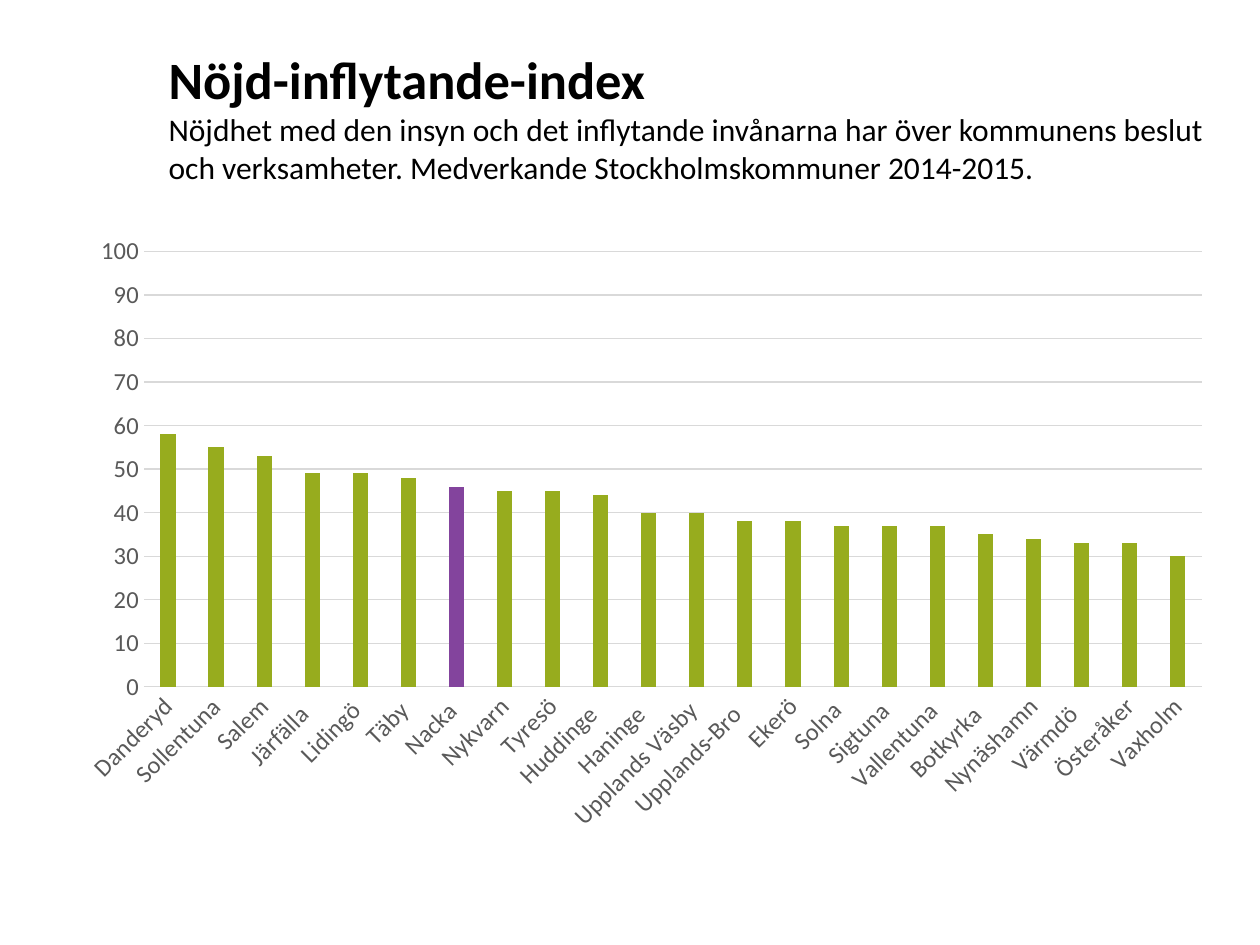
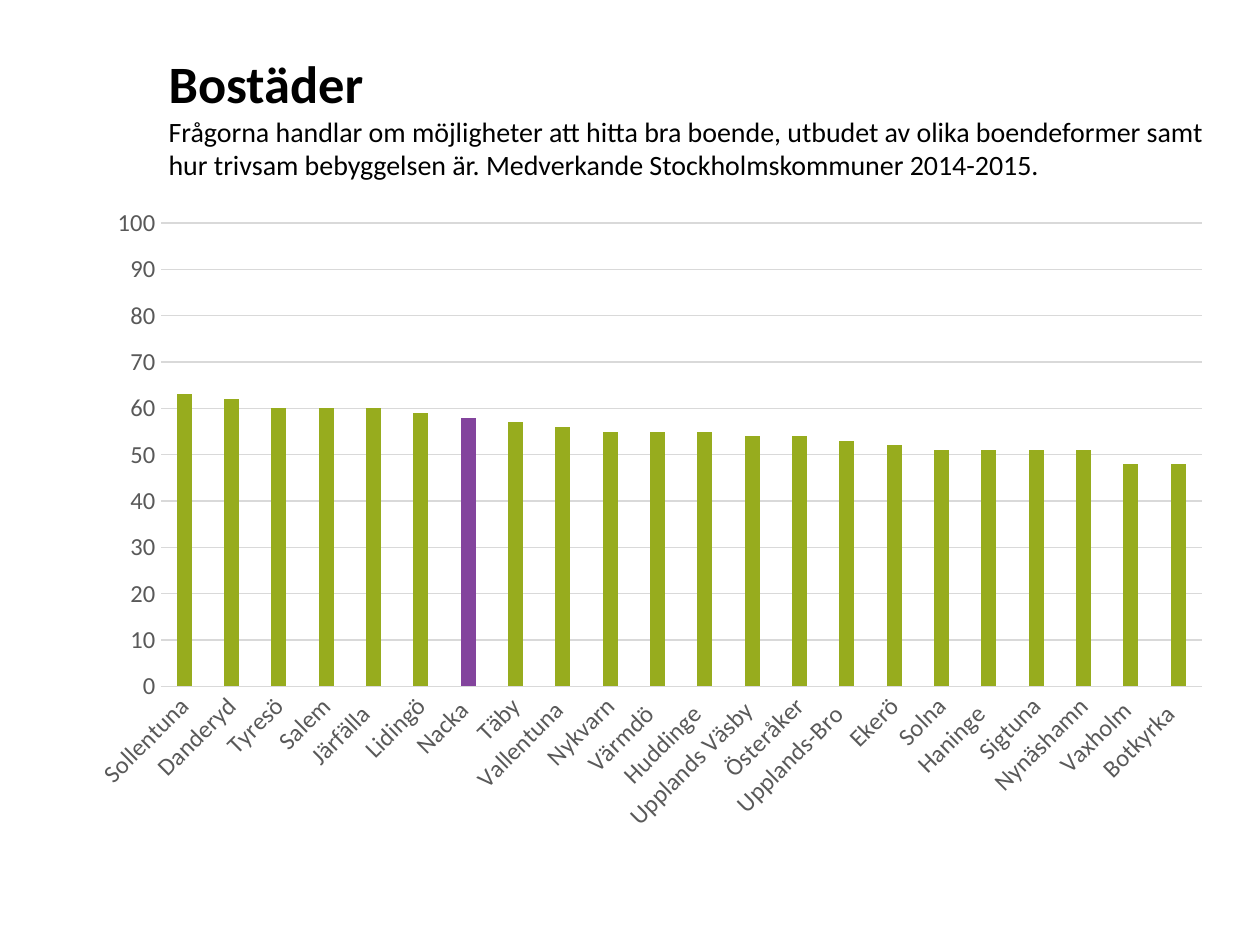
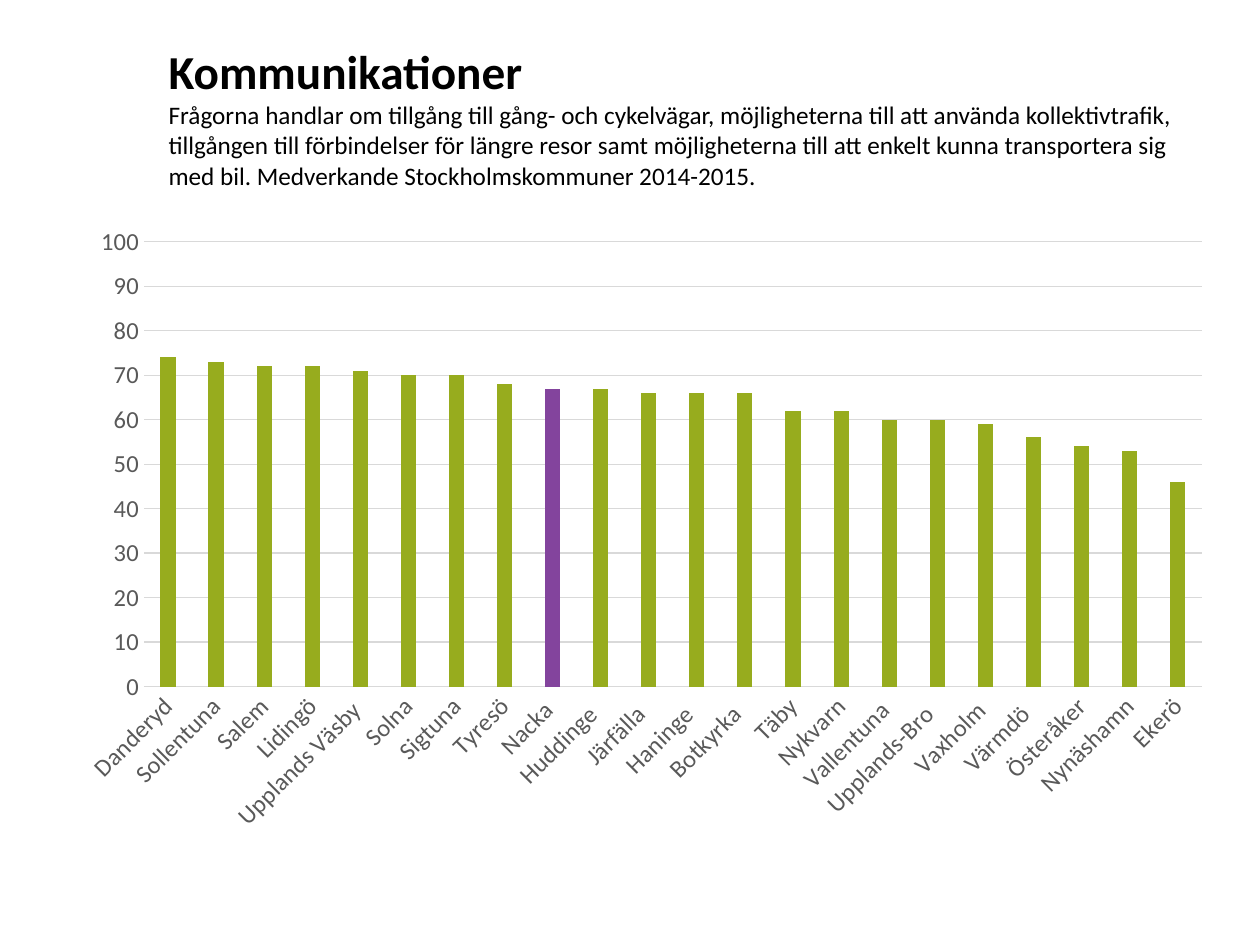
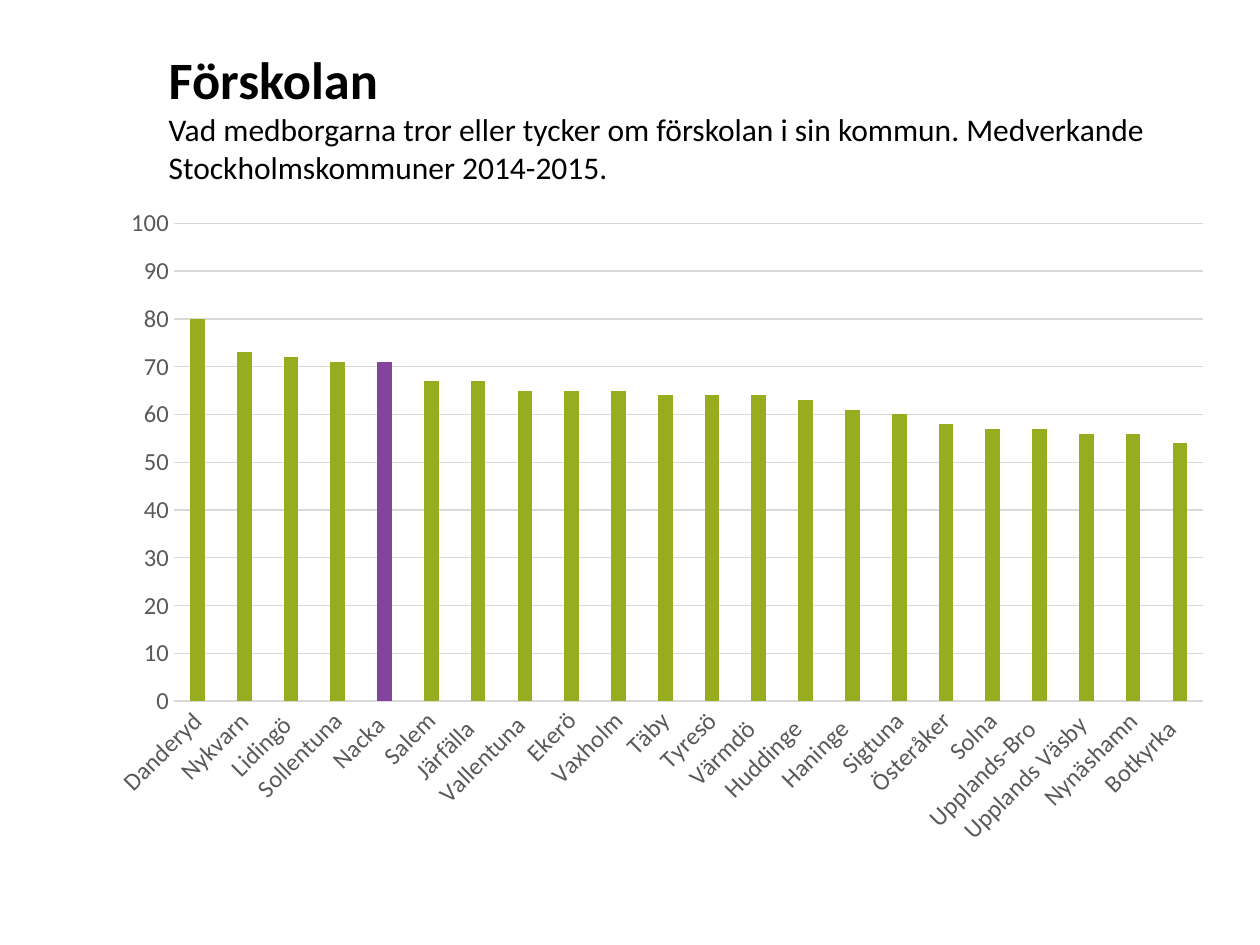
"""Build four slides of ranked column charts for the Stockholm municipalities."""
import copy

import pptx
import pptx.chart.data
import pptx.dml.color
import pptx.enum.chart
import pptx.enum.text
import pptx.util

PX = 914400 // 126
FONT = "Calibri"
HUES = {"text": "000000", "label": "595959", "grid": "D9D9D9",
        "bar": "97AC1E", "mark": "83449D"}
HOME = "Nacka "
HEAD = (156, 38, 1070, 157)
YEARS = "Medverkande Stockholmskommuner 2014-2015."

PAGES = [
    {
        "title": "Nöjd-inflytande-index",
        "lead": "Nöjdhet med den insyn och det inflytande invånarna har över "
                "kommunens beslut och verksamheter.",
        "sizes": (30, 18),
        "box": (64, 224, 1161, 620),
        "names": "Danderyd,Sollentuna,Salem,Järfälla  ,Lidingö ,Täby ,Nacka ,"
                 "Nykvarn,Tyresö,Huddinge  ,Haninge  ,Upplands Väsby ,"
                 "Upplands-Bro  ,Ekerö,Solna ,Sigtuna ,Vallentuna ,Botkyrka  ,"
                 "Nynäshamn,Värmdö  ,Österåker,Vaxholm",
        "vals": [58, 55, 53, 49, 49, 48, 46, 45, 45, 44, 40,
                 40, 38, 38, 37, 37, 37, 35, 34, 33, 33, 30],
    },
    {
        "title": "Bostäder",
        "lead": "Frågorna handlar om möjligheter att hitta bra boende, utbudet av "
                "olika boendeformer samt hur trivsam bebyggelsen är.",
        "sizes": (30, 16),
        "box": (74, 195, 1151, 649),
        "names": "Sollentuna,Danderyd,Tyresö,Salem,Järfälla  ,Lidingö,Nacka ,Täby,"
                 "Vallentuna ,Nykvarn,Värmdö  ,Huddinge  ,Upplands Väsby ,"
                 "Österåker,Upplands-Bro  ,Ekerö,Solna,Haninge  ,Sigtuna,"
                 "Nynäshamn,Vaxholm ,Botkyrka  ",
        "vals": [63, 62, 60, 60, 60, 59, 58, 57, 56, 55, 55,
                 55, 54, 54, 53, 52, 51, 51, 51, 51, 48, 48],
    },
    {
        "title": "Kommunikationer",
        "lead": "Frågorna handlar om tillgång till gång- och cykelvägar, "
                "möjligheterna till att använda kollektivtrafik, tillgången till "
                "förbindelser för längre resor samt möjligheterna till att enkelt "
                "kunna transportera sig med bil.",
        "sizes": (27, 14.4),
        "box": (64, 214, 1161, 630),
        "names": "Danderyd,Sollentuna,Salem,Lidingö,Upplands Väsby ,Solna,Sigtuna,"
                 "Tyresö,Nacka ,Huddinge  ,Järfälla  ,Haninge  ,Botkyrka  ,Täby,"
                 "Nykvarn,Vallentuna ,Upplands-Bro  ,Vaxholm ,Värmdö  ,Österåker,"
                 "Nynäshamn,Ekerö",
        "vals": [74, 73, 72, 72, 71, 70, 70, 68, 67, 67, 66,
                 66, 66, 62, 62, 60, 60, 59, 56, 54, 53, 46],
    },
    {
        "title": "Förskolan",
        "lead": "Vad medborgarna tror eller tycker om förskolan i sin kommun.",
        "sizes": (30, 18),
        "box": (94, 195, 1132, 664),
        "names": "Danderyd,Nykvarn,Lidingö ,Sollentuna,Nacka ,Salem,Järfälla  ,"
                 "Vallentuna ,Ekerö,Vaxholm,Täby,Tyresö,Värmdö  ,Huddinge  ,"
                 "Haninge  ,Sigtuna,Österåker,Solna,Upplands-Bro  ,"
                 "Upplands Väsby ,Nynäshamn,Botkyrka  ",
        "vals": [80, 73, 72, 71, 71, 67, 67, 65, 65, 65, 64,
                 64, 64, 63, 61, 60, 58, 57, 57, 56, 56, 54],
    },
]


def tint(name):
    return pptx.dml.color.RGBColor.from_string(HUES[name])


def write(para, text, size=18, bold=False, hue="text"):
    run = para.add_run()
    run.text = text
    run.font.name = FONT
    run.font.size = pptx.util.Pt(size)
    run.font.bold = bold
    run.font.color.rgb = tint(hue)
    return run


deck = pptx.Presentation()
deck.slide_width = pptx.util.Inches(10)
deck.slide_height = pptx.util.Inches(7.5)

for page in PAGES:
    slide = deck.slides.add_slide(deck.slide_layouts[5])
    title = slide.shapes.title
    title.left, title.top, title.width, title.height = [n * PX for n in HEAD]
    frame = title.text_frame
    frame.word_wrap = True
    frame.auto_size = pptx.enum.text.MSO_AUTO_SIZE.NONE
    frame.vertical_anchor = pptx.enum.text.MSO_ANCHOR.MIDDLE
    para = frame.paragraphs[0]
    para.alignment = pptx.enum.text.PP_ALIGN.LEFT
    big, small = page["sizes"]
    run = write(para, page["title"], size=big, bold=True)
    para.add_line_break()
    para._p[-1].append(copy.deepcopy(run._r.rPr))
    write(para, f"{page['lead']} {YEARS}", size=small)

    names = page["names"].split(",")
    data = pptx.chart.data.CategoryChartData()
    data.categories = names
    data.add_series("Series 1", page["vals"])
    chart = slide.shapes.add_chart(
        pptx.enum.chart.XL_CHART_TYPE.COLUMN_CLUSTERED,
        *[n * PX for n in page["box"]], data).chart
    chart.has_legend = False
    chart.has_title = False
    chart.font.name = FONT
    chart.font.size = pptx.util.Pt(10)
    chart.font.color.rgb = tint("text")

    plot = chart.plots[0]
    plot.gap_width = 219
    plot.overlap = -27
    plot.vary_by_categories = False
    bars = plot.series[0]
    bars.invert_if_negative = False
    home = bars.points[names.index(HOME)]
    for part, hue in ((bars, "bar"), (home, "mark")):
        part.format.fill.solid()
        part.format.fill.fore_color.rgb = tint(hue)

    base, scale = chart.category_axis, chart.value_axis
    for axis in (base, scale):
        axis.major_tick_mark = pptx.enum.chart.XL_TICK_MARK.NONE
        axis.minor_tick_mark = pptx.enum.chart.XL_TICK_MARK.NONE
        font = axis.tick_labels.font
        font.name = FONT
        font.size = pptx.util.Pt(14)
        font.color.rgb = tint("label")
    base._element.txPr.bodyPr.set("rot", "-2700000")
    scale.minimum_scale = 0
    scale.maximum_scale = 100
    scale.major_unit = 10
    scale.has_major_gridlines = True
    scale.format.line.fill.background()
    for line in (base.format.line, scale.major_gridlines.format.line):
        line.width = pptx.util.Pt(0.75)
        line.color.rgb = tint("grid")

deck.save("out.pptx")
